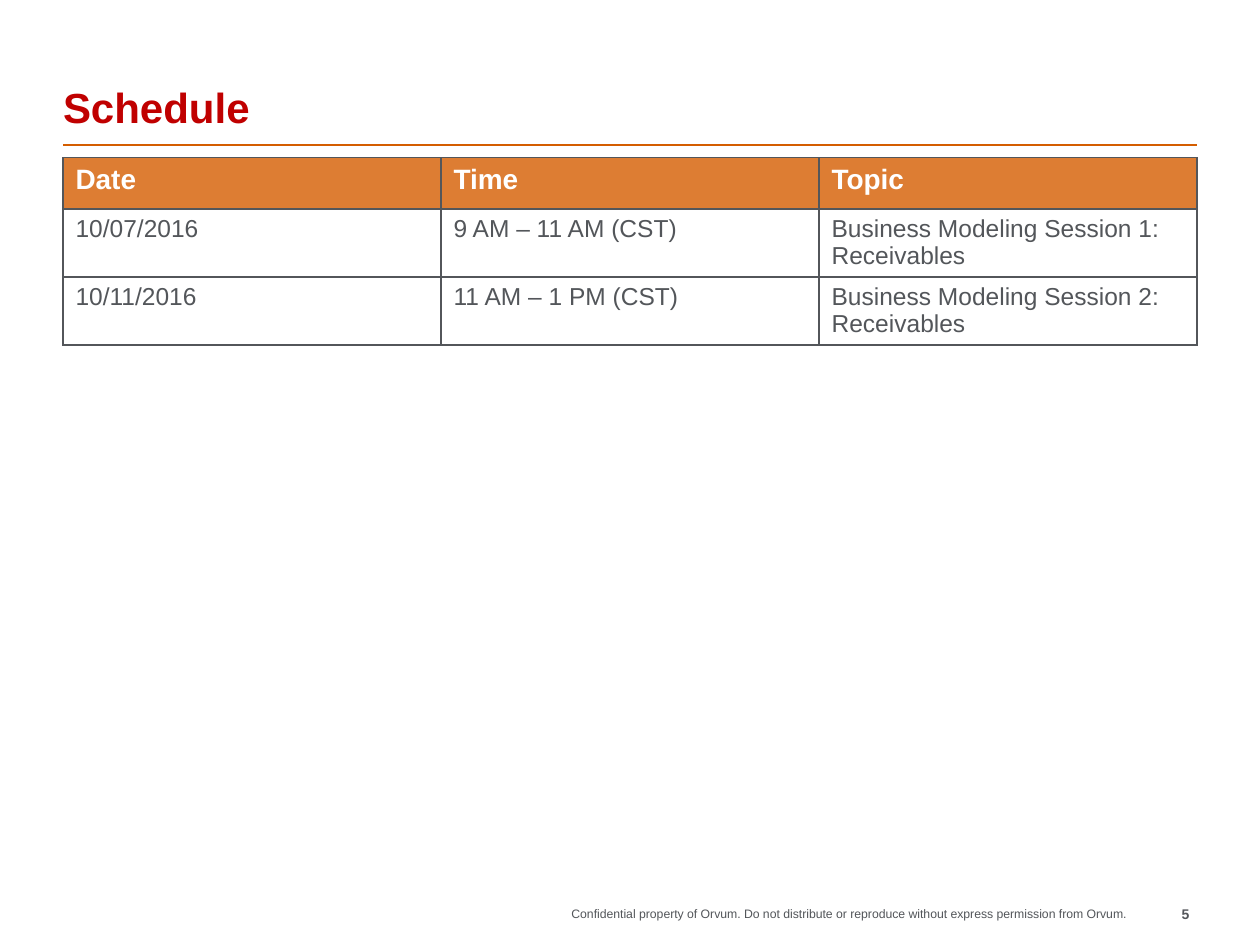
from dataclasses import dataclass

from pptx import Presentation
from pptx.dml.color import RGBColor as RGB
from pptx.enum.shapes import MSO_CONNECTOR as Connector
from pptx.enum.text import MSO_ANCHOR as Anchor, MSO_AUTO_SIZE as AutoSize, PP_ALIGN as Align
from pptx.oxml import parse_xml
from pptx.oxml.ns import nsdecls, qn
from pptx.oxml.xmlchemy import OxmlElement
from pptx.slide import Slide
from pptx.table import _Cell as Cell
from pptx.text.text import TextFrame, _Paragraph as Paragraph
from pptx.util import Cm, Pt


@dataclass(frozen=True)
class Style:
    size: float
    color: str
    bold: bool = False


@dataclass(frozen=True)
class Theme:
    font: str = "Arial"
    rule: str = "D45D00"
    header_fill: str = "DD7D33"
    border: str = "53565A"
    title: Style = Style(24, "C00000", True)
    header: Style = Style(16, "FFFFFF", True)
    body: Style = Style(14, "53565A")
    footer: Style = Style(7, "53565A")
    number: Style = Style(8, "53565A", True)


@dataclass(frozen=True)
class Session:
    date: str
    time: str
    topic: str


@dataclass(frozen=True)
class FooterItem:
    text: str
    left: float
    width: float
    style: Style


THEME = Theme()
LEFT, WIDTH = 1.27, 22.86
RULE_Y = 2.92
TABLE_TOP = 3.18
HEADER_HEIGHT, ROW_HEIGHT = 1.03, 1.37
FOOTER_TOP, FOOTER_HEIGHT = 18.26, 0.58

HEADINGS = ("Date", "Time", "Topic")
SESSIONS = (
    Session("10/07/2016", "9 AM – 11 AM (CST)", "Business Modeling Session 1: Receivables"),
    Session("10/11/2016", "11 AM – 1 PM (CST)", "Business Modeling Session 2: Receivables"),
)
FOOTER = (
    FooterItem(
        "Confidential property of Orvum. Do not distribute or reproduce "
        "without express permission from Orvum.",
        9.2, 13.51, THEME.footer,
    ),
    FooterItem("5", 22.71, 1.27, THEME.number),
)


def style_paragraph(p: Paragraph, style: Style) -> None:
    """Apply a theme style to a whole paragraph."""
    p.font.name = THEME.font
    p.font.size = Pt(style.size)
    p.font.bold = style.bold
    p.font.color.rgb = RGB.from_string(style.color)


def fill_frame(tf: TextFrame, text: str, style: Style, align: Align) -> None:
    """Write one paragraph into a frame without insets."""
    tf.word_wrap = True
    tf.auto_size = AutoSize.NONE
    tf.margin_left = tf.margin_right = tf.margin_top = tf.margin_bottom = 0
    tf.text = text
    tf.paragraphs[0].alignment = align
    style_paragraph(tf.paragraphs[0], style)


def add_title(s: Slide, text: str) -> None:
    """Place and format the title placeholder."""
    sp = s.shapes.title
    sp.left, sp.top, sp.width, sp.height = Cm(LEFT), Cm(0.53), Cm(WIDTH), Cm(2.13)
    fill_frame(sp.text_frame, text, THEME.title, Align.LEFT)
    sp.text_frame.vertical_anchor = Anchor.BOTTOM


def add_rule(s: Slide) -> None:
    """Draw the line under the title."""
    rule = s.shapes.add_connector(
        Connector.STRAIGHT, Cm(LEFT), Cm(RULE_Y), Cm(LEFT + WIDTH), Cm(RULE_Y)
    )
    rule.line.color.rgb = RGB.from_string(THEME.rule)
    rule.line.width = Pt(1)
    rule._element.spPr.append(OxmlElement("a:effectLst"))


def add_borders(cell: Cell) -> None:
    """Give a cell a thin line on all four sides."""
    tc_pr = cell._tc.get_or_add_tcPr()
    for i, side in enumerate(("lnL", "lnR", "lnT", "lnB")):
        tc_pr.insert(i, parse_xml(
            f'<a:{side} {nsdecls("a")} w="{Pt(1)}"><a:solidFill>'
            f'<a:srgbClr val="{THEME.border}"/></a:solidFill></a:{side}>'
        ))


def add_schedule(s: Slide) -> None:
    """Build the table of sessions under its header row."""
    rows = [HEADINGS] + [(x.date, x.time, x.topic) for x in SESSIONS]
    height = HEADER_HEIGHT + ROW_HEIGHT * len(SESSIONS)
    table = s.shapes.add_table(
        len(rows), len(HEADINGS), Cm(LEFT), Cm(TABLE_TOP), Cm(WIDTH), Cm(height)
    ).table
    table.horz_banding = False
    for i, texts in enumerate(rows):
        is_header = i == 0
        table.rows[i].height = Cm(HEADER_HEIGHT if is_header else ROW_HEIGHT)
        for j, text in enumerate(texts):
            cell = table.cell(i, j)
            cell.text = text
            style_paragraph(
                cell.text_frame.paragraphs[0], THEME.header if is_header else THEME.body
            )
            if is_header:
                cell.fill.solid()
                cell.fill.fore_color.rgb = RGB.from_string(THEME.header_fill)
            else:
                cell.fill.background()
            add_borders(cell)


def add_footer_item(s: Slide, item: FooterItem) -> None:
    """Add one right-aligned text to the footer."""
    sp = s.shapes.add_textbox(
        Cm(item.left), Cm(FOOTER_TOP), Cm(item.width), Cm(FOOTER_HEIGHT)
    )
    fill_frame(sp.text_frame, item.text, item.style, Align.RIGHT)


def main() -> None:
    """Build the schedule slide and save it."""
    prs = Presentation()
    prs.slide_width, prs.slide_height = Cm(25.4), Cm(19.05)
    s = prs.slides.add_slide(prs.slide_layouts[5])
    add_rule(s)
    for item in FOOTER:
        add_footer_item(s, item)
    add_title(s, "Schedule")
    add_schedule(s)
    prs.save("out.pptx")


if __name__ == "__main__":
    main()
